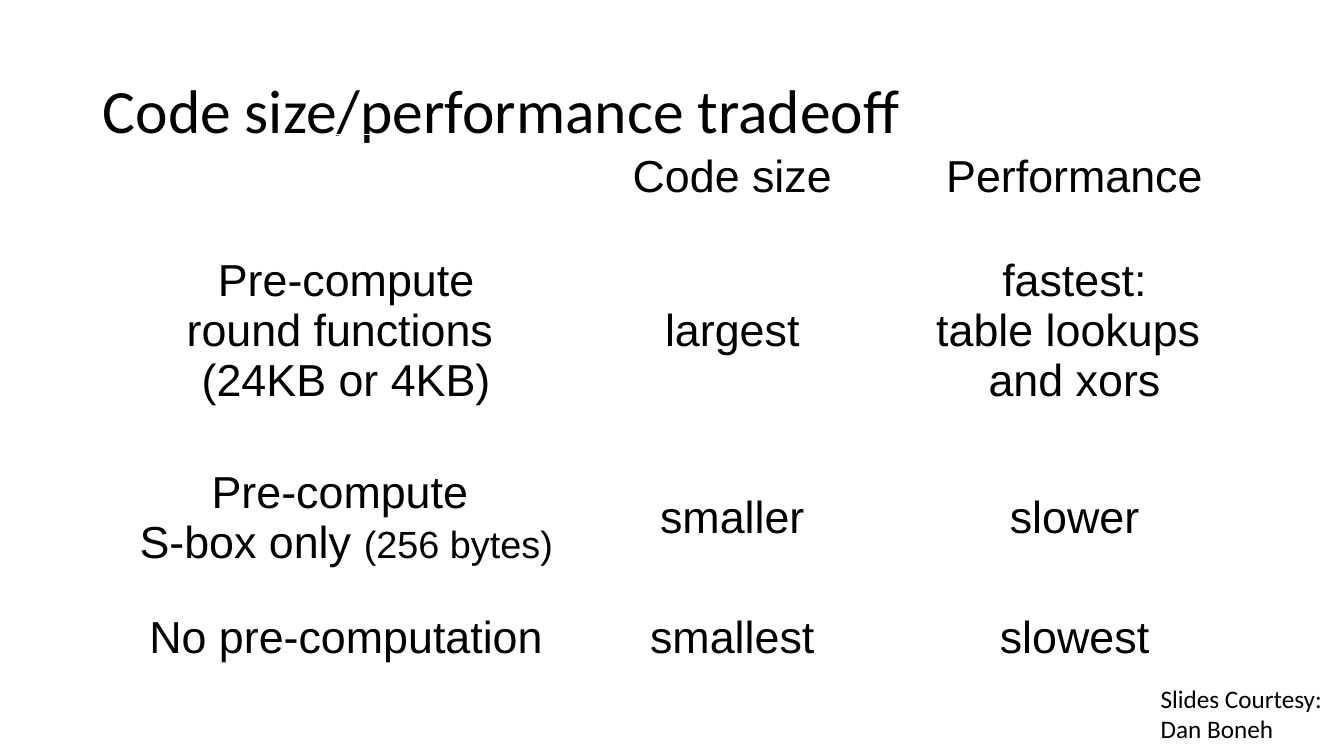
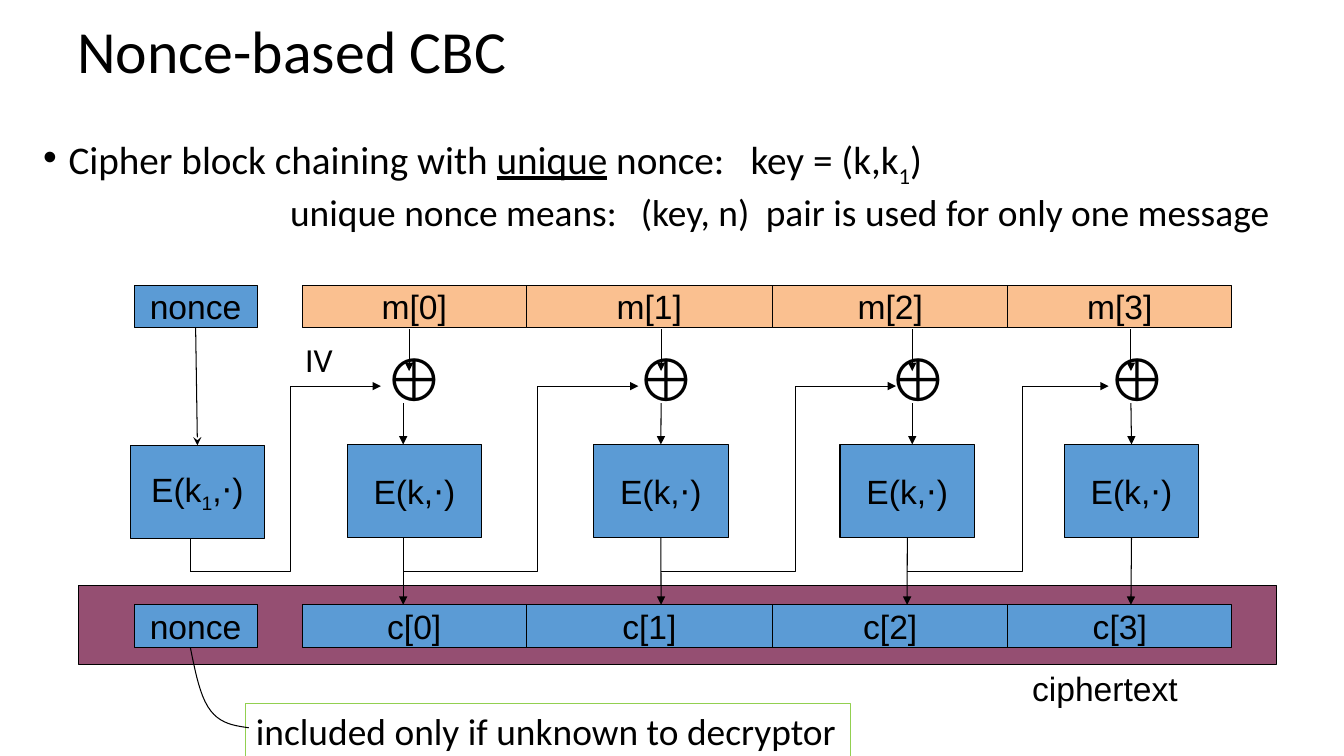
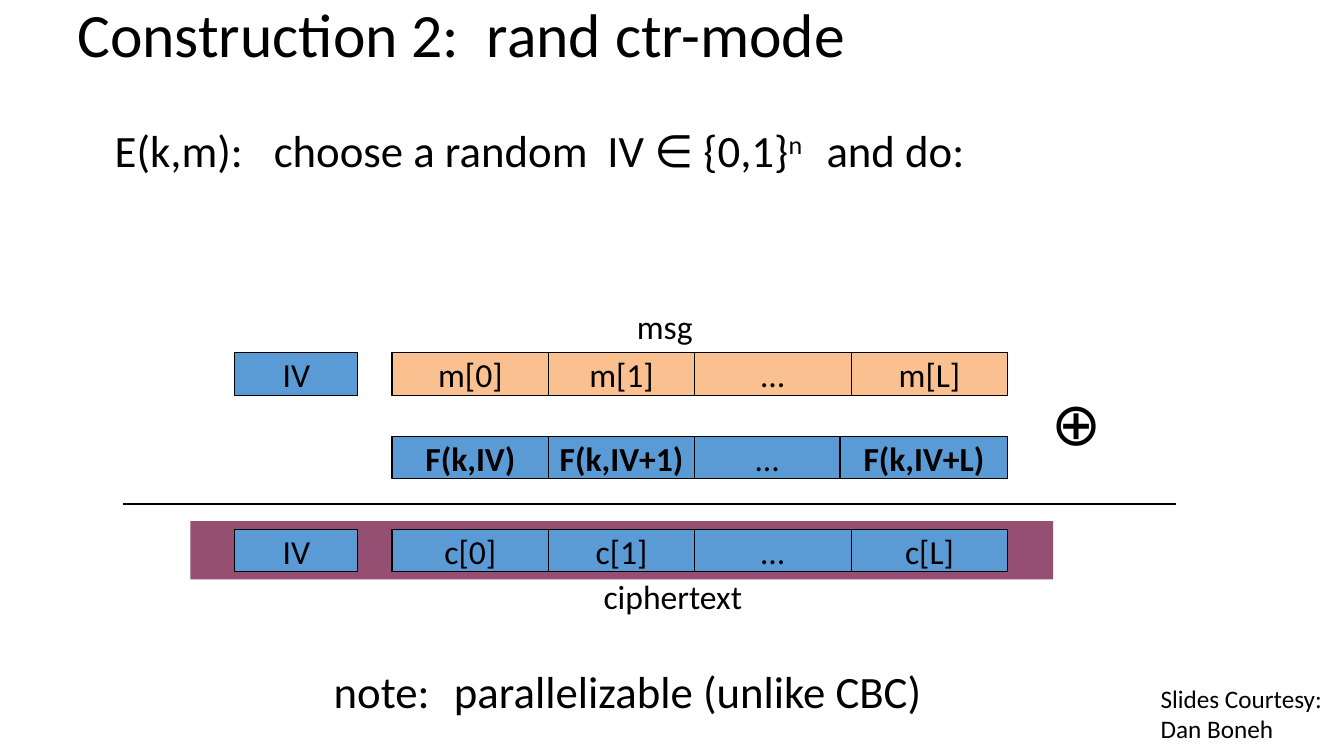
from dataclasses import dataclass

from lxml import etree
from pptx import Presentation
from pptx.dml.color import RGBColor
from pptx.enum.shapes import MSO_CONNECTOR, MSO_SHAPE
from pptx.enum.text import MSO_ANCHOR, PP_ALIGN
from pptx.oxml.ns import qn
from pptx.util import Cm, Pt

RECT = MSO_SHAPE.RECTANGLE
LINE = MSO_CONNECTOR.STRAIGHT
LEFT, MID = PP_ALIGN.LEFT, PP_ALIGN.CENTER
TOP, CENTRE = MSO_ANCHOR.TOP, MSO_ANCHOR.MIDDLE


@dataclass(frozen=True)
class Theme:
    ink: str = "000000"
    blue: str = "5B9BD5"
    peach: str = "FAC090"
    plum: str = "954F72"
    green: str = "92D050"
    sans: str = "Calibri"
    plain: str = "Arial"
    title: float = 44
    symbol: float = 42.7
    large: float = 32
    body: float = 28
    note: float = 26.7
    label: float = 24
    credit: float = 18
    line: float = 0.75


T = Theme()
BLOCK = 1.07  # height of a message block
BOX = 3.39, 2.34  # width and height of a cipher box


def style(run, size, font, bold=False):
    face = run.font
    face.size, face.name, face.bold = Pt(size), font, bold
    face.color.rgb = RGBColor.from_string(T.ink)


def write(frame, text, size, font=T.sans, align=LEFT, anchor=TOP,
          bold=False, tabs=()):
    """Fill a frame with text; tabs are stops in cm from its text edge."""
    frame.text = text
    frame.word_wrap = True
    frame.vertical_anchor = anchor
    for para in frame.paragraphs:
        para.alignment = align
        for run in para.runs:
            style(run, size, font, bold)
        if tabs:
            stops = etree.SubElement(para._p.get_or_add_pPr(), qn("a:tabLst"))
            for stop in tabs:
                etree.SubElement(stops, qn("a:tab"), pos=str(Cm(stop)),
                                 algn="l")


def extend(para, text, size, font=T.sans, base=0, under=False):
    """Add a run; base is its shift from the baseline in percent."""
    run = para.add_run()
    run.text = text
    style(run, size, font)
    if under:
        run.font.underline = True
    if base:
        run._r.get_or_add_rPr().set("baseline", str(base * 1000))


def bullet(para, indent):
    props = para._p.get_or_add_pPr()
    props.set("marL", str(Cm(indent)))
    props.set("indent", str(-Cm(indent)))
    mark = etree.Element(qn("a:buChar"), char="•")
    face = etree.Element(qn("a:buFont"), typeface=T.plain)
    stops = props.find(qn("a:tabLst"))
    for item in (face, mark):
        stops.addprevious(item)


def label(slide, at, text, size, **look):
    box = slide.shapes.add_textbox(*map(Cm, at))
    write(box.text_frame, text, size, **look)
    return box.text_frame


def title(slide, at, text, size=T.title, tabs=()):
    frame = label(slide, at, text, size, anchor=CENTRE, tabs=tabs)
    frame.paragraphs[0].line_spacing = 0.9


def credit(slide):
    label(slide, (29, 17.1, 4.8, 1.8), "Slides Courtesy:\nDan Boneh", T.credit)


def stroke(shape, color=T.ink, head=None):
    shape.line.color.rgb = RGBColor.from_string(color)
    shape.line.width = Pt(T.line)
    if head:
        line = shape.line._get_or_add_ln()
        etree.SubElement(line, qn("a:tailEnd"), type=head)


def rect(slide, at, fill=None, edge=T.ink):
    shape = slide.shapes.add_shape(RECT, *map(Cm, at))
    shape.shadow.inherit = False
    if fill:
        shape.fill.solid()
        shape.fill.fore_color.rgb = RGBColor.from_string(fill)
    else:
        shape.fill.background()
    if edge:
        stroke(shape, edge)
    else:
        shape.line.fill.background()
    return shape


def block(slide, at, text, fill=T.blue, font=T.sans, bold=False):
    shape = rect(slide, at, fill)
    write(shape.text_frame, text, T.label, font, MID, CENTRE, bold)
    return shape


def strip(slide, edges, top, names, fill=T.blue, font=T.sans, bold=False):
    """Draw touching blocks between successive edges."""
    for left, right, name in zip(edges, edges[1:], names):
        block(slide, (left, top, right - left, BLOCK), name, fill, font,
              bold and name != "…")


def wire(slide, start, end, head="triangle", source=None, target=None):
    """Draw a line, joined to a box where it meets the middle of its side."""
    link = slide.shapes.add_connector(LINE, *map(Cm, start + end))
    stroke(link, head=head)
    etree.SubElement(link._element.spPr, qn("a:effectLst"))
    for box, x, join, site in ((source, start[0], link.begin_connect, 2),
                               (target, end[0], link.end_connect, 0)):
        if box and abs(box.left + box.width / 2 - Cm(x)) < Cm(0.1):
            join(box, site)


def trace(slide, points, head=None):
    """Draw an open outline through the points."""
    spots = [(Cm(x), Cm(y)) for x, y in points]
    pen = slide.shapes.build_freeform(*spots[0])
    pen.add_line_segments(spots[1:], close=False)
    shape = pen.convert_to_shape()
    shape.shadow.inherit = False
    shape.fill.background()
    stroke(shape, head=head)


def bend(points, steps=10):
    """Return points along one cubic curve."""
    def mix(t, a, b, c, d):
        s = 1 - t
        return s**3 * a + 3 * s * s * t * b + 3 * s * t * t * c + t**3 * d
    return [tuple(mix(i / steps, *axis) for axis in zip(*points))
            for i in range(steps + 1)]


def tradeoff(slide):
    title(slide, (2.34, 1.02, 29.21, 3.68), "Code size/performance tradeoff")
    rows = (
        (2.16, ("", "Code size", "Performance")),
        (5.59, ("Pre-compute\vround functions \v(24KB or 4KB)", "largest",
                "fastest:\ntable lookups \vand xors")),
        (3.86, ("Pre-compute \vS-box only ", "smaller", "slower")),
        (2.16, ("No pre-computation", "smallest", "slowest")),
    )
    wide = 12.37, 7.09, 10.16
    grid = slide.shapes.add_table(
        len(rows), len(wide), Cm(2.54), Cm(3.38), Cm(sum(wide)),
        Cm(sum(high for high, _ in rows))).table
    grid.first_row = grid.horz_banding = False
    for col, width in zip(grid.columns, wide):
        col.width = Cm(width)
    for row, (high, words) in zip(grid.rows, rows):
        row.height = Cm(high)
        for cell, text in zip(row.cells, words):
            cell.fill.background()
            cell.margin_left = cell.margin_right = Cm(0.33)
            cell.margin_top = cell.margin_bottom = Cm(0.18)
            cell.vertical_anchor = CENTRE
            write(cell.text_frame, text, T.large, T.plain, MID, CENTRE)
    extend(grid.cell(2, 0).text_frame.paragraphs[0], "(256 bytes)", 27,
           T.plain)
    credit(slide)


def lane(slide, left, sign, drop, feed, out):
    """Draw one cipher column: sum sign, box and its three arrows."""
    box = block(slide, (left, 11.2, *BOX), "E(k,⋅)", font=T.plain)
    label(slide, (sign, 8.48, 1.68, 2.08), "⊕", T.symbol, font=T.plain)
    wire(slide, (drop, 8.3), (drop, 9.35))
    wire(slide, (feed, 10.16), (feed, 11.2), target=box)
    wire(slide, (out, 13.54), (out, 15.24), source=box)


def chain(slide):
    title(slide, (1.7, 0.2, 30.48, 2.34), "Nonce-based CBC", T.symbol)
    frame = label(slide, (0.84, 3.3, 32.46, 3.3),
                  "Cipher block chaining with ", T.body, tabs=(17.83,))
    para = frame.paragraphs[0]
    para.line_spacing = 0.9
    bullet(para, 0.64)
    extend(para, "unique", T.body, under=True)
    extend(para, " nonce:\tkey = (k,k", T.body)
    extend(para, "1", T.body, base=-25)
    extend(para, ")", T.body)
    label(slide, (7.06, 4.65, 25.4, 1.4),
          "unique nonce means:\t(key, n)\tpair is used for only one message",
          T.note, tabs=(8.84, 11.99))

    rect(slide, (1.98, 14.76, 30.2, 1.98), T.plum)
    edges = 7.62, 13.26, 19.47, 25.4, 31.04
    for mark, top, fill in (("m", 7.19, T.peach), ("c", 15.24, T.blue)):
        strip(slide, edges, top, [f"{mark}[{i}]" for i in range(4)], fill,
              T.plain)
    for left, sign, drop, feed, out in (
            (8.75, 9.45, 10.31, 10.16, 10.16),
            (14.96, 15.8, 16.66, 16.66, 16.66),
            (21.17, 22.15, 22.99, 22.99, 22.86),
            (26.82, 27.66, 28.5, 28.5, 28.5)):
        lane(slide, left, sign, drop, feed, out)
    for start, turn, end in ((4.8, 7.32, 9.6), (10.16, 13.55, 16.09),
                             (16.66, 20.04, 22.58), (22.86, 25.76, 27.94)):
        trace(slide, ((start, 14.39), (turn, 14.39), (turn, 9.73),
                      (end, 9.73)), "triangle")

    nonce, _ = [block(slide, (3.38, top, 3.1, BLOCK), "nonce", font=T.plain)
                for top in (7.19, 15.24)]
    first = block(slide, (3.28, 11.22, *BOX), "E(k", font=T.plain)
    para = first.text_frame.paragraphs[0]
    extend(para, "1", T.label, T.plain, base=-25)
    extend(para, ",⋅)", T.label, T.plain)
    wire(slide, (4.93, 8.26), (4.97, 11.22), "stealth", nonce, first)
    wire(slide, (4.8, 13.56), (4.8, 14.39), None)
    label(slide, (7.44, 8.41, 1.4, 1.27), "IV", T.label)
    label(slide, (25.76, 16.71, 4.3, 1.27), "ciphertext", T.label,
          font=T.plain)
    hint = rect(slide, (6.2, 17.73, 15.24, 1.4), edge=T.green)
    write(hint.text_frame, "included only if unknown to decryptor", T.note)
    upper = (6.27, 18.34), (5.92, 18.29), (5.56, 18.24), (5.31, 17.91)
    lower = (5.31, 17.91), (5.05, 17.58), (4.93, 16.97), (4.8, 16.33)
    trace(slide, bend(upper) + bend(lower)[1:])


def counter(slide):
    rect(slide, (4.8, 13.13, 21.74, 1.47), T.plum, None)
    title(slide, (1.7, -0.64, 30.48, 3.18), "Construction 2:\trand ctr-mode",
          tabs=(10.32,))
    frame = label(slide, (2.64, 2.97, 22.38, 1.63),
                  "E(k,m):\tchoose a random\tIV ∈ {0,1}", T.large,
                  tabs=(4.01, 12.42, 17.94))
    para = frame.paragraphs[0]
    extend(para, "n", T.large, base=30)
    extend(para, "\tand do:", T.large)

    edges = 9.88, 13.83, 17.5, 21.45, 25.4
    pad = 9.88, 13.83, 17.5, 21.17, 25.4
    strip(slide, edges, 8.89, ("m[0]", "m[1]", "…", "m[L]"), T.peach)
    strip(slide, pad, 11, ("F(k,IV)", "F(k,IV+1)", "…", "F(k,IV+L)"),
          bold=True)
    strip(slide, edges, 13.34, ("c[0]", "c[1]", "…", "c[L]"))
    for top in (8.89, 13.34):
        block(slide, (5.92, top, 3.1, BLOCK), "IV")
    label(slide, (26.24, 9.6, 1.68, 2.08), "⊕", T.symbol)
    wire(slide, (3.1, 12.7), (29.64, 12.7), None)
    label(slide, (15.8, 7.59, 2, 1.27), "msg", T.label)
    label(slide, (14.96, 14.38, 4.1, 1.27), "ciphertext", T.label)
    label(slide, (8.16, 16.59, 15.4, 1.63),
          "note:\tparallelizable (unlike CBC)", T.large, tabs=(3.03,))
    credit(slide)


def main():
    deck = Presentation()
    deck.slide_width, deck.slide_height = Cm(33.87), Cm(19.05)
    for build in (tradeoff, chain, counter):
        build(deck.slides.add_slide(deck.slide_layouts[6]))
    deck.save("out.pptx")


if __name__ == "__main__":
    main()
